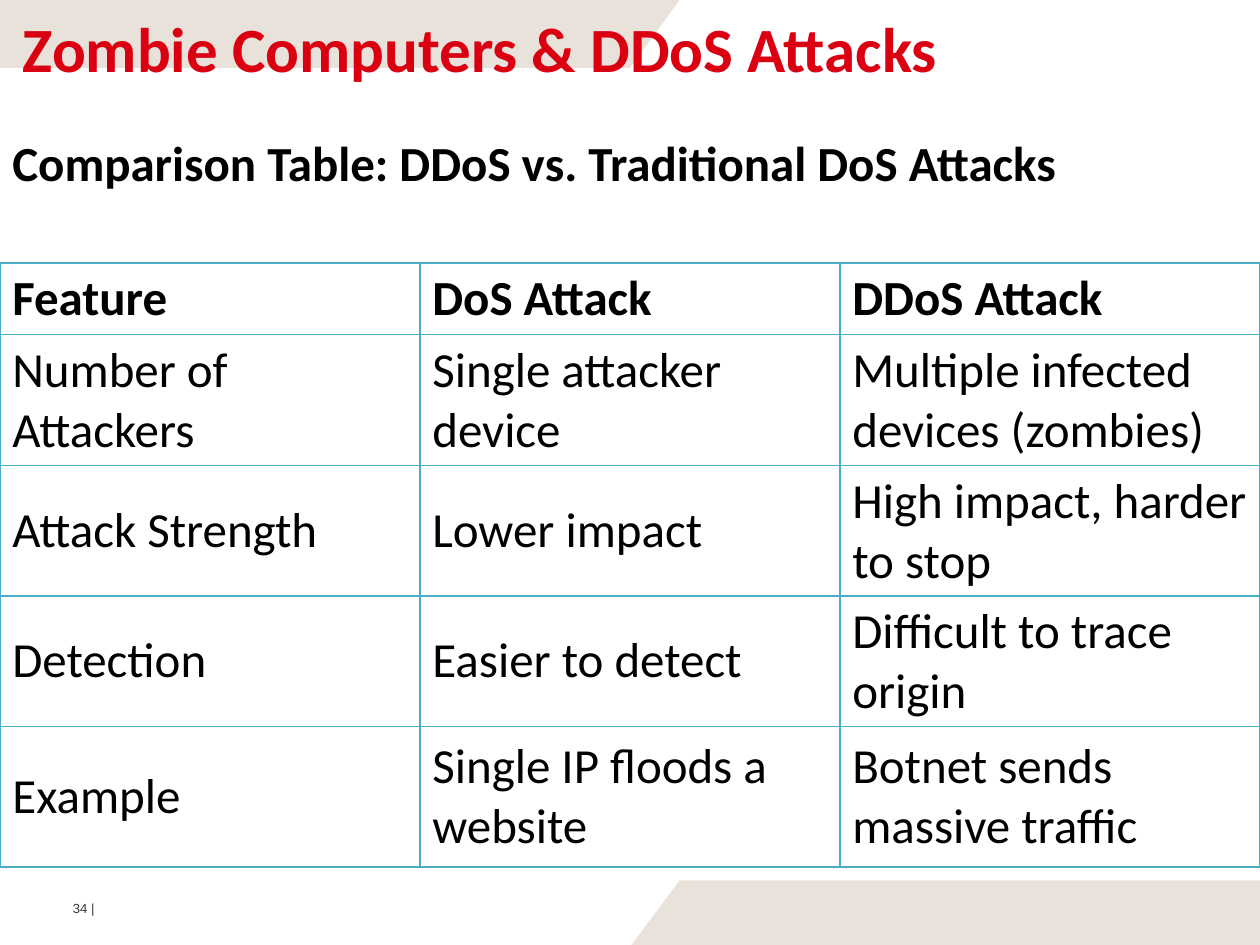
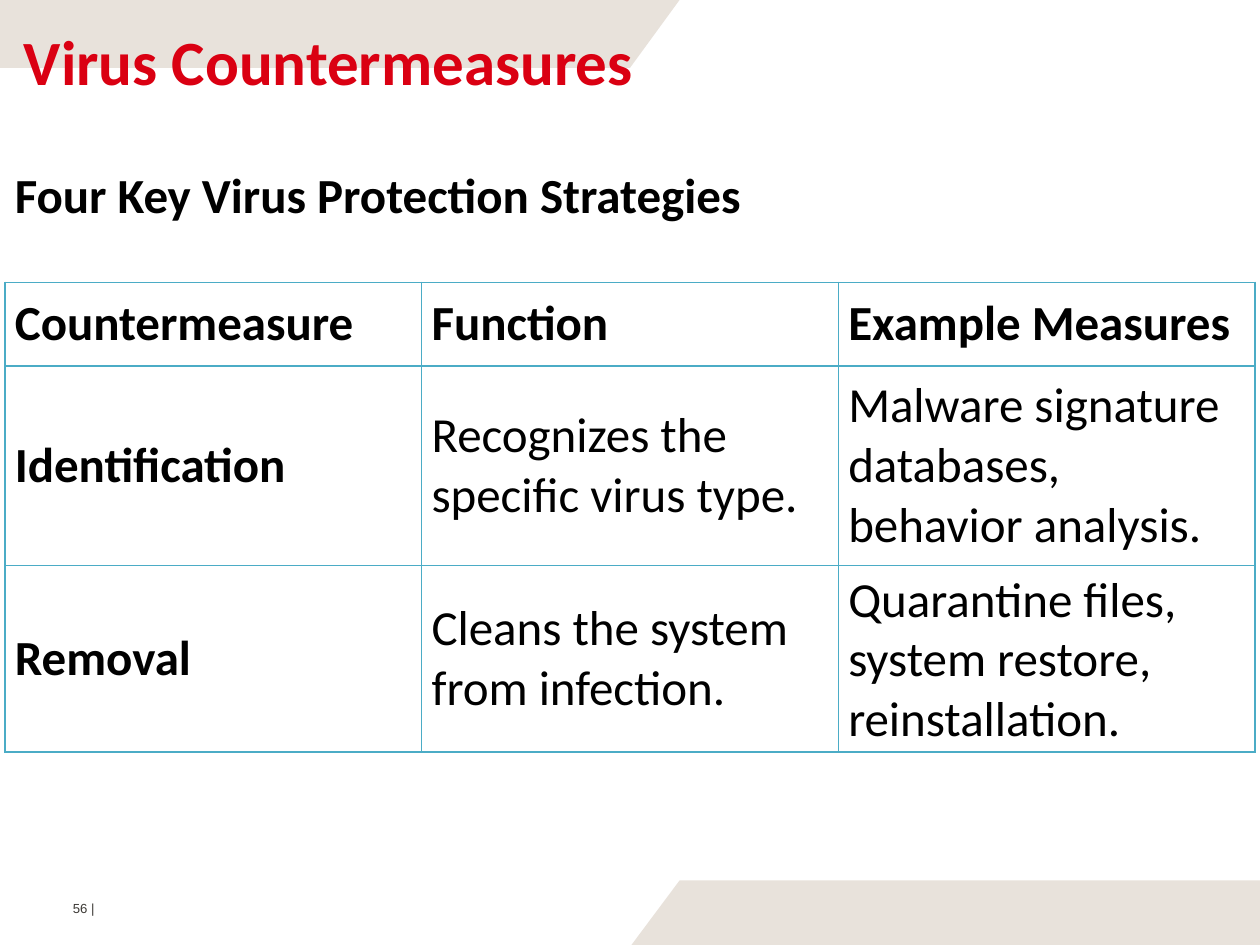
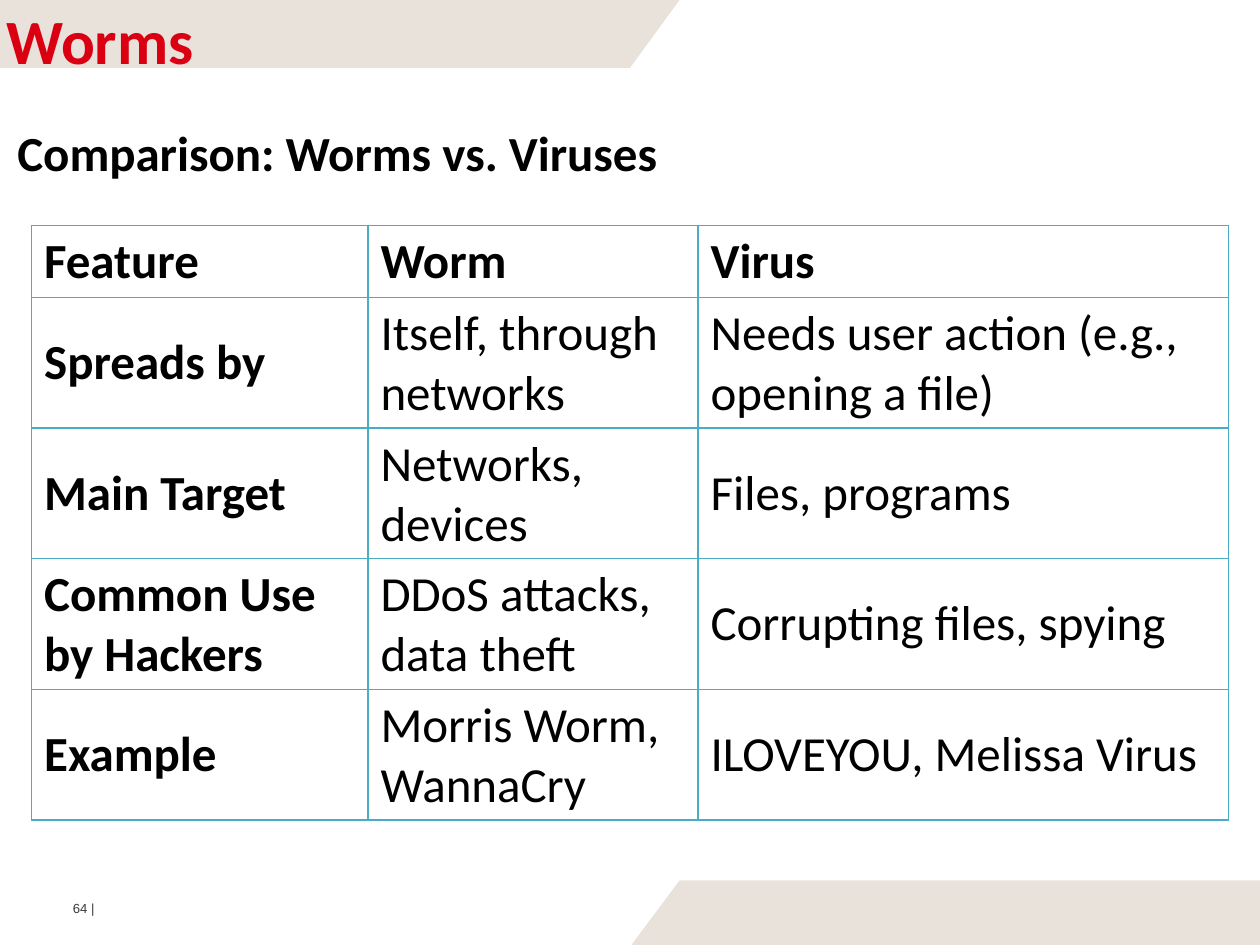
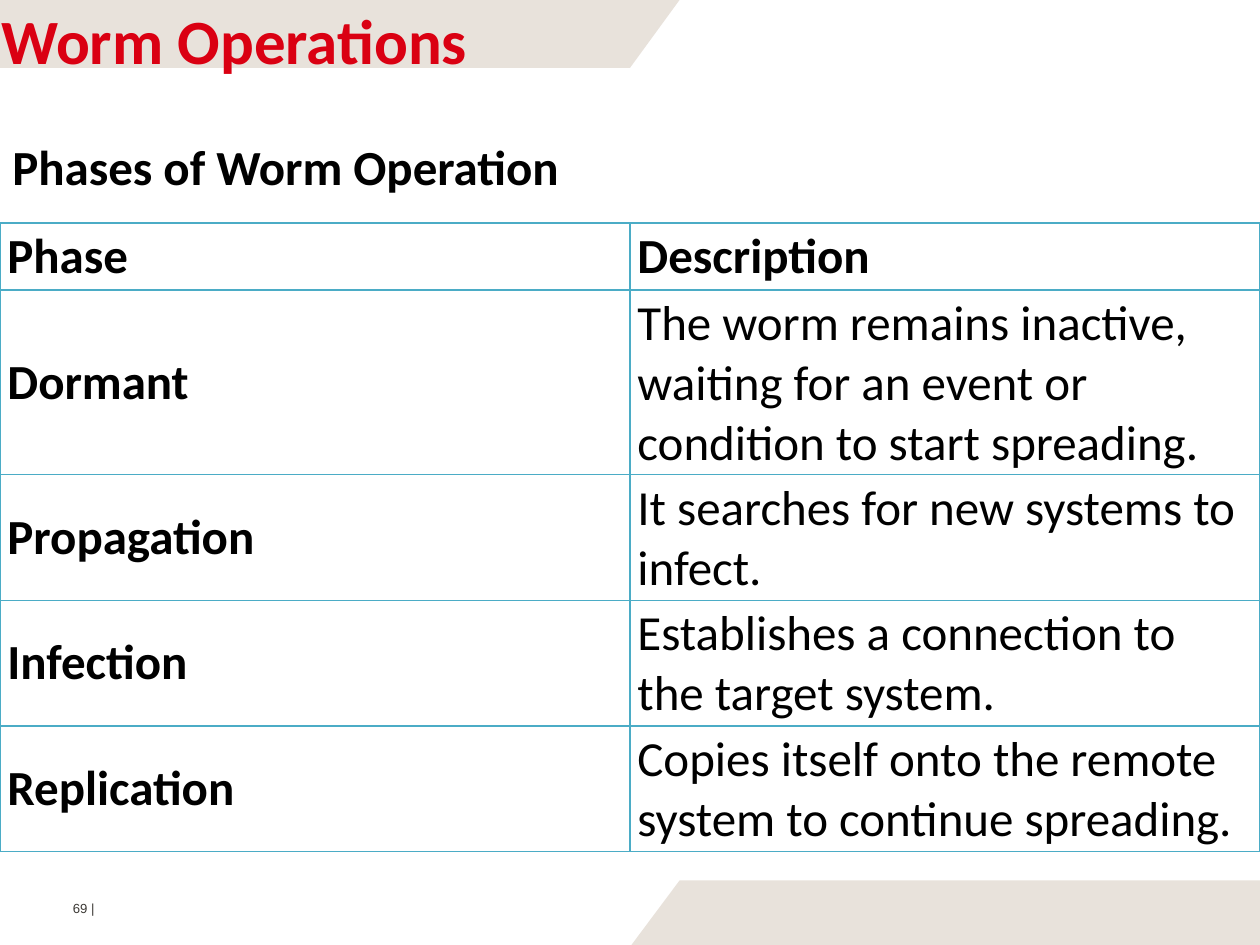
from dataclasses import dataclass

from lxml import etree
from pptx import Presentation
from pptx.dml.color import RGBColor
from pptx.enum.text import MSO_ANCHOR, MSO_AUTO_SIZE, PP_ALIGN
from pptx.oxml.ns import qn
from pptx.util import Cm, Pt

LEFT = PP_ALIGN.LEFT
TOP, MIDDLE = MSO_ANCHOR.TOP, MSO_ANCHOR.MIDDLE
GROW = MSO_AUTO_SIZE.SHAPE_TO_FIT_TEXT


@dataclass(frozen=True)
class Theme:
    red: str = "DA0012"
    black: str = "000000"
    grey: str = "3C3935"
    sand: str = "E8E2DB"
    blue: str = "4BACC6"
    main: str = "Calibri"
    small: str = "Arial"
    title: float = 36
    text: float = 28
    note: float = 7.5
    rule: float = 1


THEME = Theme()
WIDE, HIGH = 25.4, 19.05
TITLE_ONLY = 5

# Outlines of the two bands, in cm
BANDS = [
    [(13.7, 0), (0, 0), (0, 1.37), (12.7, 1.37)],
    [(WIDE, 17.75), (13.7, 17.75), (12.73, HIGH), (WIDE, HIGH)],
]

# Boxes are left, top, width, height in cm; pad is the left and top inset
SLIDES = [
    dict(
        page=34,
        title="Zombie Computers & DDoS Attacks",
        title_box=(0, 0, 22, 1.75), title_pad=(0.46, 0.2),
        head="Comparison Table: DDoS vs. Traditional DoS Attacks",
        head_box=(0, 2.54, 22.05, 1.45),
        grid_box=(0, 5.3, WIDE, 12.16), grid_pad=(0.25, 0.13),
        cols=[1, 1, 1], rows=[1.44, 2.63, 2.63, 2.63, 2.83], bold_col=False,
        cells=[
            ["Feature", "DoS Attack", "DDoS Attack"],
            ["Number of Attackers", "Single attacker device",
             "Multiple infected devices (zombies)"],
            ["Attack Strength", "Lower impact", "High impact, harder to stop"],
            ["Detection", "Easier to detect", "Difficult to trace origin"],
            ["Example", "Single IP floods a website",
             "Botnet sends massive traffic"],
        ],
    ),
    dict(
        page=56,
        title="Virus Countermeasures",
        title_box=(0, 0, 18, 2), title_pad=(0.48, 0.46),
        head="Four Key Virus Protection Strategies",
        head_box=(0.05, 3.18, 15.44, 1.45),
        grid_box=(0.1, 5.69, 25.2, 9.47), grid_pad=(0.2, 0.1),
        cols=[1, 1, 1], rows=[1.69, 4.02, 3.76], bold_col=True,
        cells=[
            ["Countermeasure", "Function", "Example Measures"],
            ["Identification", "Recognizes the specific virus type.",
             "Malware signature databases, behavior analysis."],
            ["Removal", "Cleans the system from infection.",
             "Quarantine files, system restore, reinstallation."],
        ],
    ),
    dict(
        page=64,
        title="Worms",
        title_box=(0.1, 0, 3.84, 1.6), title_pad=(0.03, 0.03),
        head="Comparison: Worms vs. Viruses",
        head_box=(0.1, 2.34, 13.59, 1.45),
        grid_box=(0.64, 4.55, 24.13, 11.96), grid_pad=(0.25, 0.13),
        cols=[2.67, 2.62, 4.21], rows=[1.44] + [2.63] * 4, bold_col=True,
        cells=[
            ["Feature", "Worm", "Virus"],
            ["Spreads by", "Itself, through networks",
             "Needs user action (e.g., opening a file)"],
            ["Main Target", "Networks, devices", "Files, programs"],
            ["Common Use by Hackers", "DDoS attacks, data theft",
             "Corrupting files, spying"],
            ["Example", "Morris Worm, WannaCry", "ILOVEYOU, Melissa Virus"],
        ],
    ),
    dict(
        page=69,
        title="Worm Operations",
        title_box=(0, 0, 9.5, 1.6), title_pad=(0.03, 0.03),
        head="Phases of Worm Operation",
        head_box=(0, 2.62, 11.73, 1.45),
        grid_box=(0, 4.5, WIDE, 12.65), grid_pad=(0.15, 0.08),
        cols=[1, 1], rows=[1.35, 3.71] + [2.53] * 3, bold_col=True,
        cells=[
            ["Phase", "Description"],
            ["Dormant", "The worm remains inactive, waiting for an event or "
                        "condition to start spreading."],
            ["Propagation", "It searches for new systems to infect."],
            ["Infection", "Establishes a connection to the target system."],
            ["Replication", "Copies itself onto the remote system to continue "
                            "spreading."],
        ],
    ),
]


def put(item, **vals):
    """Set each value as an attribute of the item."""
    for name, val in vals.items():
        setattr(item, name, val)


def write(frame, text, size, tint, face=THEME.main, bold=False, before=0):
    """Write one left-aligned paragraph."""
    para = frame.paragraphs[0]
    put(para, alignment=LEFT, space_before=Pt(before))
    run = para.add_run()
    run.text = text
    put(run.font, name=face, size=Pt(size), bold=bold)
    run.font.color.rgb = RGBColor.from_string(tint)


def inset(left, top, right=0, bottom=0):
    """Name the four margins for put()."""
    return dict(margin_left=Cm(left), margin_top=Cm(top),
                margin_right=Cm(right), margin_bottom=Cm(bottom))


def add_bands(master, slide):
    """Draw the sand bands and move them behind all else on the master."""
    for rank, points in enumerate(BANDS):
        pen = slide.shapes.build_freeform(
            *[Cm(val) for val in points[0]], scale=1.0)
        pen.add_line_segments([(Cm(x), Cm(y)) for x, y in points[1:]])
        band = pen.convert_to_shape()
        band.fill.solid()
        band.fill.fore_color.rgb = RGBColor.from_string(THEME.sand)
        band.line.fill.background()
        band.shadow.inherit = False
        band.element.find(".//" + qn("p:cNvPr")).set("id", str(90 + rank))
        master.shapes.element.insert(2 + rank, band.element)


def add_title(slide, text, box, pad):
    left, top, width, height = map(Cm, box)
    shape = slide.shapes.title
    put(shape, left=left, top=top, width=width, height=height)
    put(shape.text_frame, vertical_anchor=TOP, word_wrap=True,
        auto_size=GROW, **inset(*pad))
    write(shape.text_frame, text, THEME.title, THEME.red, bold=True, before=1)


def add_head(slide, text, box):
    frame = slide.shapes.add_textbox(*map(Cm, box)).text_frame
    put(frame, vertical_anchor=MIDDLE, word_wrap=False, auto_size=GROW)
    write(frame, text, THEME.text, THEME.black, bold=True)


def add_page(slide, page):
    box = (1.37, 18.16, 0.66, 0.38)
    frame = slide.shapes.add_textbox(*map(Cm, box)).text_frame
    put(frame, word_wrap=True, auto_size=GROW, **inset(0.1, 0))
    for text in (f"{page} ", "|"):
        write(frame, text, THEME.note, THEME.grey, THEME.small, before=0.3)


def add_edges(cell):
    """Rule all four sides of a cell."""
    props = cell._tc.get_or_add_tcPr()
    for side in ("lnL", "lnR", "lnT", "lnB"):
        line = etree.SubElement(props, qn("a:" + side),
                                w=str(Pt(THEME.rule)))
        fill = etree.SubElement(line, qn("a:solidFill"))
        etree.SubElement(fill, qn("a:srgbClr"), val=THEME.blue)


def add_grid(slide, cells, box, pad, cols, rows, bold_col):
    """Place a ruled table; cols are shares of the width of the box."""
    table = slide.shapes.add_table(
        len(rows), len(cols), *map(Cm, box)).table
    put(table, first_row=False, horz_banding=False)
    for col, share in zip(table.columns, cols):
        col.width = Cm(box[2] * share / sum(cols))
    for row, height in zip(table.rows, rows):
        row.height = Cm(height)
    for r, texts in enumerate(cells):
        for c, text in enumerate(texts):
            cell = table.cell(r, c)
            put(cell, vertical_anchor=MIDDLE, **inset(*pad, *pad))
            add_edges(cell)
            cell.fill.background()
            write(cell.text_frame, text, THEME.text, THEME.black,
                  bold=r == 0 or (bold_col and c == 0))


def add_slide(deck, data):
    slide = deck.slides.add_slide(deck.slide_layouts[TITLE_ONLY])
    add_title(slide, data["title"], data["title_box"], data["title_pad"])
    add_page(slide, data["page"])
    add_grid(slide, data["cells"], data["grid_box"], data["grid_pad"],
             data["cols"], data["rows"], data["bold_col"])
    add_head(slide, data["head"], data["head_box"])
    return slide


def main():
    deck = Presentation()
    put(deck, slide_width=Cm(WIDE), slide_height=Cm(HIGH))
    made = [add_slide(deck, data) for data in SLIDES]
    add_bands(deck.slide_master, made[0])
    deck.save("out.pptx")


if __name__ == "__main__":
    main()
